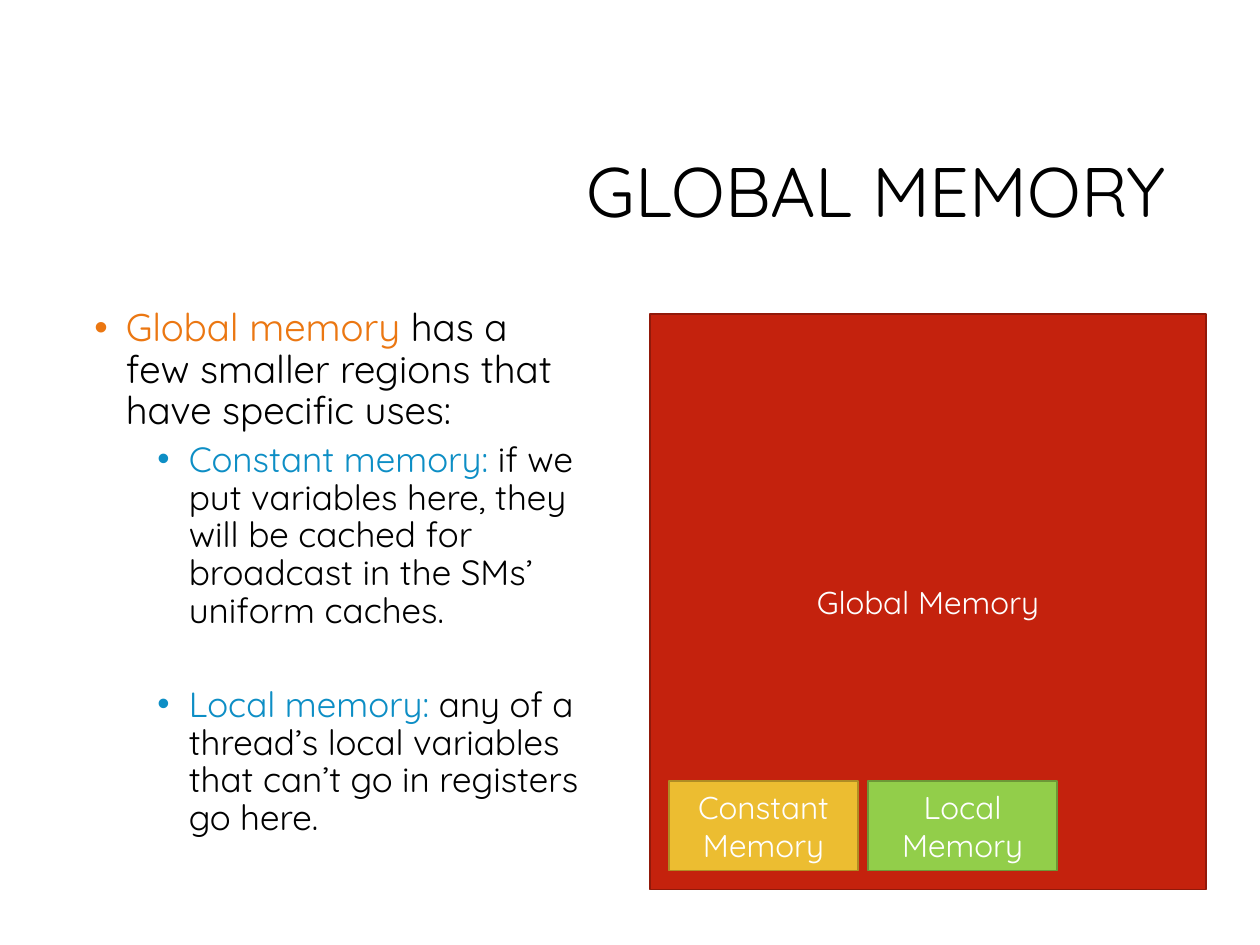
import pptx
import pptx.util
import pptx.dml.color
import pptx.enum.shapes
import pptx.enum.text
import pptx.oxml.ns
from lxml import etree

Inches = pptx.util.Inches
Pt = pptx.util.Pt
RGBColor = pptx.dml.color.RGBColor
Align = pptx.enum.text.PP_ALIGN
Anchor = pptx.enum.text.MSO_ANCHOR

FONT = "Quicksand"
BLACK = RGBColor(0x00, 0x00, 0x00)
WHITE = RGBColor(0xFF, 0xFF, 0xFF)
ORANGE = RGBColor(0xEB, 0x77, 0x12)
BLUE = RGBColor(0x0D, 0x8E, 0xC5)
RED = RGBColor(0xC4, 0x22, 0x0D)
MAROON = RGBColor(0x91, 0x19, 0x0A)
GOLD = RGBColor(0xEC, 0xBD, 0x31)
BRONZE = RGBColor(0xAF, 0x8C, 0x24)
GREEN = RGBColor(0x92, 0xCE, 0x4A)
OLIVE = RGBColor(0x6C, 0x98, 0x37)

POINTS = [
    (0, 22, 0, ORANGE, "Global memory ",
     "has a few smaller regions that have specific uses:"),
    (1, 20, 5, BLUE, "Constant memory: ",
     "if we put variables here, they will be cached for broadcast "
     "in the SMs’ uniform caches."),
    (1, 20, 32, BLUE, "Local memory: ",
     "any of a thread’s local variables that can’t go in registers go here."),
]


def add_run(para, text, size, color):
    run = para.add_run()
    run.text = text
    run.font.name = FONT
    run.font.size = Pt(size)
    run.font.color.rgb = color


def add_frame(slide, left, top, width, height):
    frame = slide.shapes.add_textbox(left, top, width, height).text_frame
    frame.word_wrap = True
    return frame


def set_bullet(para, level):
    para.level = level
    props = para._p.get_or_add_pPr()
    props.set("marL", str(Inches(0.25 + 0.5 * level)))
    props.set("indent", str(Inches(-0.25)))
    face = etree.SubElement(props, pptx.oxml.ns.qn("a:buFont"))
    face.set("typeface", "Arial")
    mark = etree.SubElement(props, pptx.oxml.ns.qn("a:buChar"))
    mark.set("char", "•")


def add_title(slide, left, top, width, height):
    frame = add_frame(slide, left, top, width, height)
    frame.vertical_anchor = Anchor.MIDDLE
    para = frame.paragraphs[0]
    para.alignment = Align.RIGHT
    para.line_spacing = 0.9
    add_run(para, "GLOBAL MEMORY", 40, BLACK)


def add_points(slide, left, top, width, height):
    frame = add_frame(slide, left, top, width, height)
    for index, (level, size, gap, color, term, text) in enumerate(POINTS):
        para = frame.add_paragraph() if index else frame.paragraphs[0]
        set_bullet(para, level)
        para.line_spacing = 0.9
        para.space_before = Pt(gap)
        add_run(para, term, size, color)
        add_run(para, text, size, BLACK)


def add_block(slide, left, top, width, height, text, fill, edge):
    block = slide.shapes.add_shape(
        pptx.enum.shapes.MSO_SHAPE.RECTANGLE, left, top, width, height)
    block.shadow.inherit = False
    block.fill.solid()
    block.fill.fore_color.rgb = fill
    block.line.color.rgb = edge
    block.line.width = Pt(1)
    frame = block.text_frame
    frame.word_wrap = True
    frame.vertical_anchor = Anchor.MIDDLE
    para = frame.paragraphs[0]
    para.alignment = Align.CENTER
    add_run(para, text, 18, WHITE)


def add_memory(slide, left, top, width, height):
    add_block(slide, left, top, width, height, "Global Memory", RED, MAROON)
    wide, high = Inches(1.5), Inches(0.71)
    inset, gap = Inches(0.15), Inches(0.08)
    row = top + height - inset - high
    regions = [("Constant Memory", GOLD, BRONZE), ("Local Memory", GREEN, OLIVE)]
    for index, (text, fill, edge) in enumerate(regions):
        start = left + inset + index * (wide + gap)
        add_block(slide, start, row, wide, high, text, fill, edge)


def main():
    deck = pptx.Presentation()
    deck.slide_width = Inches(10)
    deck.slide_height = Inches(7.5)
    slide = deck.slides.add_slide(deck.slide_layouts[6])
    add_title(slide, Inches(2.38), Inches(0.84), Inches(6.97), Inches(1.41))
    add_points(slide, Inches(0.65), Inches(2.4), Inches(4.04), Inches(4.81))
    add_memory(slide, Inches(5.16), Inches(2.49), Inches(4.41), Inches(4.57))
    deck.save("out.pptx")


if __name__ == "__main__":
    main()
